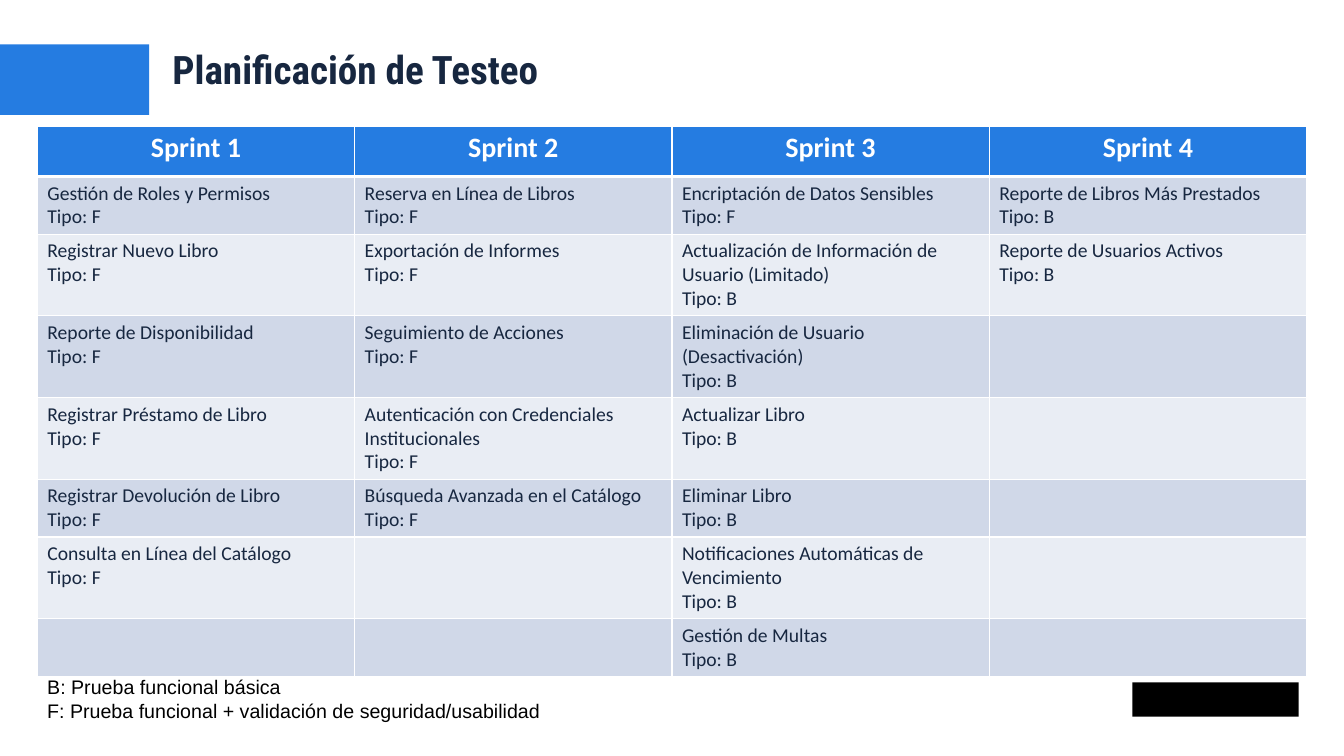
import dataclasses

import lxml.etree
import pptx
import pptx.dml.color
import pptx.enum.shapes
import pptx.enum.text
import pptx.oxml.ns
import pptx.util

Inches = pptx.util.Inches
Pt = pptx.util.Pt
RGBColor = pptx.dml.color.RGBColor
PP_ALIGN = pptx.enum.text.PP_ALIGN

BLUE = RGBColor(0x25, 0x7C, 0xE1)
NAVY = RGBColor(0x17, 0x27, 0x40)
WHITE = RGBColor(0xFF, 0xFF, 0xFF)
BLACK = RGBColor(0, 0, 0)
BAND_DARK = RGBColor(0xD0, 0xD8, 0xE8)
BAND_LIGHT = RGBColor(0xE9, 0xED, 0xF4)


@dataclasses.dataclass(frozen=True)
class Block:
    left: float
    top: float
    width: float
    height: float
    color: RGBColor


@dataclasses.dataclass(frozen=True)
class TextStyle:
    font: str
    size: int
    color: RGBColor
    bold: bool = False
    align: PP_ALIGN = PP_ALIGN.LEFT


@dataclasses.dataclass(frozen=True)
class Test:
    name: str
    kind: str


@dataclasses.dataclass(frozen=True)
class Sprint:
    name: str
    tests: dict[int, Test]


def planned(name: str, *tests: Test) -> Sprint:
    return Sprint(name, dict(enumerate(tests, start=1)))


TITLE_STYLE = TextStyle("Roboto Condensed", 28, NAVY, bold=True)
HEADER_STYLE = TextStyle("Calibri", 20, WHITE, bold=True, align=PP_ALIGN.CENTER)
CELL_STYLE = TextStyle("Calibri", 14, NAVY)
LEGEND_STYLE = TextStyle("Arial", 14, BLACK)

BLOCKS = [
    Block(0, 0.44, 1.48, 0.7, BLUE),
    Block(11.23, 6.77, 1.65, 0.34, BLACK),
]
SPRINTS = [
    planned(
        "Sprint 1",
        Test("Gestión de Roles y Permisos", "F"),
        Test("Registrar Nuevo Libro", "F"),
        Test("Reporte de Disponibilidad", "F"),
        Test("Registrar Préstamo de Libro", "F"),
        Test("Registrar Devolución de Libro", "F"),
        Test("Consulta en Línea del Catálogo", "F"),
    ),
    planned(
        "Sprint 2",
        Test("Reserva en Línea de Libros", "F"),
        Test("Exportación de Informes", "F"),
        Test("Seguimiento de Acciones", "F"),
        Test("Autenticación con Credenciales Institucionales", "F"),
        Test("Búsqueda Avanzada en el Catálogo", "F"),
    ),
    planned(
        "Sprint 3",
        Test("Encriptación de Datos Sensibles", "F"),
        Test("Actualización de Información de Usuario (Limitado)", "B"),
        Test("Eliminación de Usuario (Desactivación)", "B"),
        Test("Actualizar Libro", "B"),
        Test("Eliminar Libro", "B"),
        Test("Notificaciones Automáticas de Vencimiento", "B"),
        Test("Gestión de Multas", "B"),
    ),
    planned(
        "Sprint 4",
        Test("Reporte de Libros Más Prestados", "B"),
        Test("Reporte de Usuarios Activos", "B"),
    ),
]
ROW_COUNT = 1 + max(len(sprint.tests) for sprint in SPRINTS)
LEGEND = "B: Prueba funcional básica\nF: Prueba funcional + validación de seguridad/usabilidad"


def write(tf: pptx.text.text.TextFrame, text: str, style: TextStyle) -> None:
    tf.text = text
    for p in tf.paragraphs:
        p.alignment = style.align
        p.font.size = Pt(style.size)
        for r in p.runs:
            r.font.name = style.font
            r.font.size = Pt(style.size)
            r.font.bold = style.bold
            r.font.color.rgb = style.color


def add_block(slide: pptx.slide.Slide, block: Block) -> None:
    sp = slide.shapes.add_shape(
        pptx.enum.shapes.MSO_SHAPE.RECTANGLE,
        Inches(block.left), Inches(block.top), Inches(block.width), Inches(block.height),
    )
    sp.shadow.inherit = False
    sp.fill.solid()
    sp.fill.fore_color.rgb = block.color
    sp.line.fill.background()


def format_cell(cell: pptx.table._Cell, row: int) -> None:
    cell.fill.solid()
    cell.fill.fore_color.rgb = BLUE if row == 0 else BAND_DARK if row % 2 else BAND_LIGHT
    tc_pr = cell._tc.get_or_add_tcPr()
    qn = pptx.oxml.ns.qn
    for i, side in enumerate("LRTB"):
        thick = (row, side) in ((0, "B"), (1, "T"))
        ln = lxml.etree.Element(qn(f"a:ln{side}"), w=str(Pt(3 if thick else 1)))
        fill = lxml.etree.SubElement(ln, qn("a:solidFill"))
        lxml.etree.SubElement(fill, qn("a:srgbClr"), val=str(WHITE))
        tc_pr.insert(i, ln)


def add_plan(slide: pptx.slide.Slide, sprints: list[Sprint]) -> None:
    frame = slide.shapes.add_table(
        ROW_COUNT, len(sprints), Inches(0.37), Inches(1.25), Inches(12.59), Inches(5.4)
    )
    table = frame.table
    table.horz_banding = False
    for row in table.rows:
        row.height = Inches(0.5)
    for col, sprint in enumerate(sprints):
        for row in range(ROW_COUNT):
            cell = table.cell(row, col)
            format_cell(cell, row)
            test = sprint.tests.get(row)
            if row == 0:
                write(cell.text_frame, sprint.name, HEADER_STYLE)
            elif test:
                write(cell.text_frame, f"{test.name}\nTipo: {test.kind}", CELL_STYLE)


def add_title(slide: pptx.slide.Slide, text: str) -> None:
    sp = slide.shapes.title
    sp.left, sp.top = Inches(1.61), Inches(0.47)
    sp.width, sp.height = Inches(11.27), Inches(0.49)
    tf = sp.text_frame
    tf.auto_size = pptx.enum.text.MSO_AUTO_SIZE.NONE
    tf.vertical_anchor = pptx.enum.text.MSO_ANCHOR.MIDDLE
    write(tf, text, TITLE_STYLE)
    tf.paragraphs[0].line_spacing = 0.9


def add_legend(slide: pptx.slide.Slide, text: str) -> None:
    sp = slide.shapes.add_textbox(Inches(0.37), Inches(6.65), Inches(7.7), Inches(0.57))
    tf = sp.text_frame
    tf.word_wrap = True
    tf.auto_size = pptx.enum.text.MSO_AUTO_SIZE.SHAPE_TO_FIT_TEXT
    write(tf, text, LEGEND_STYLE)


def main() -> None:
    prs = pptx.Presentation()
    prs.slide_width, prs.slide_height = Inches(13.33), Inches(7.5)
    slide = prs.slides.add_slide(prs.slide_layouts.get_by_name("Title Only"))
    for block in BLOCKS:
        add_block(slide, block)
    add_title(slide, "Planificación de Testeo")
    add_plan(slide, SPRINTS)
    add_legend(slide, LEGEND)
    prs.save("out.pptx")


if __name__ == "__main__":
    main()
